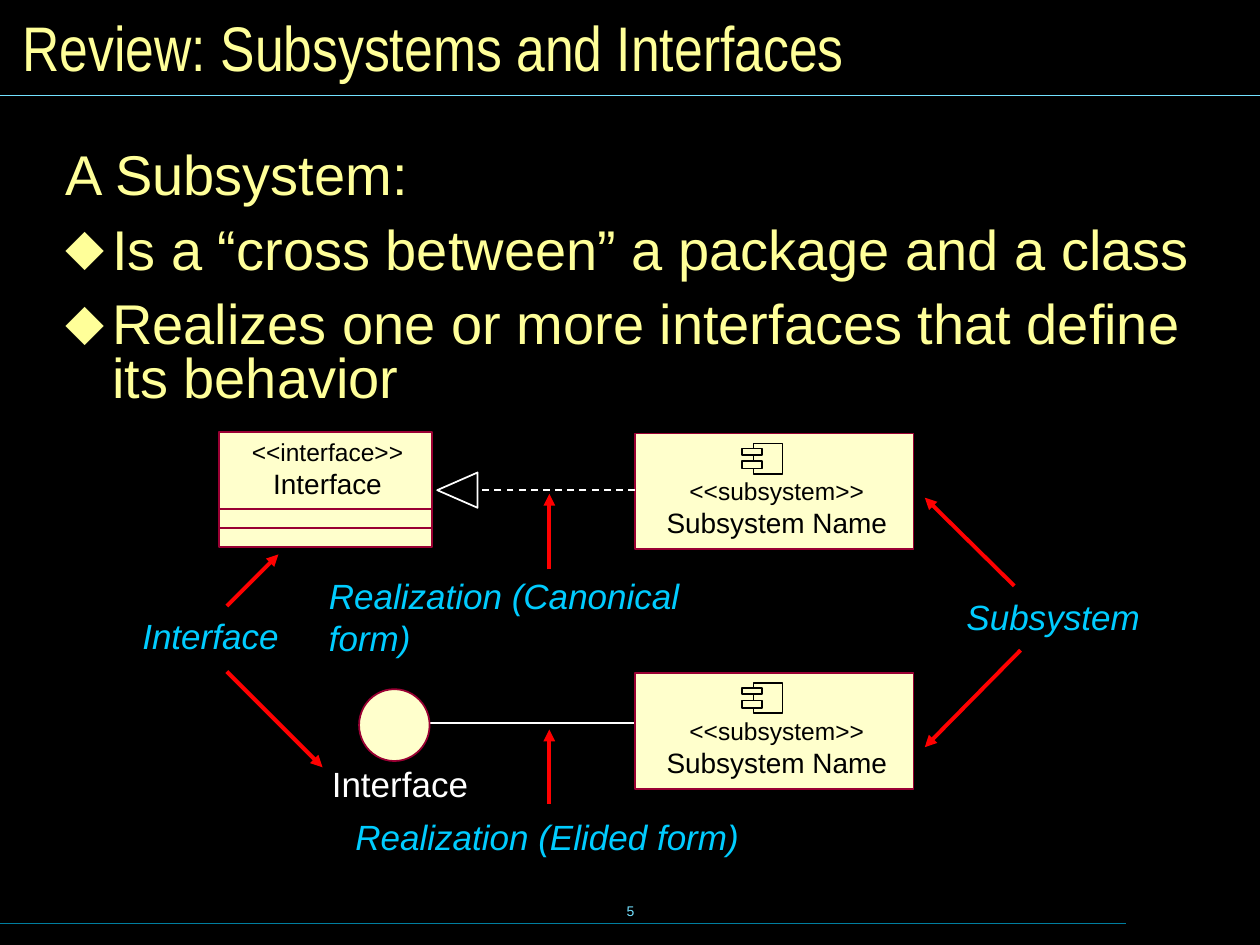
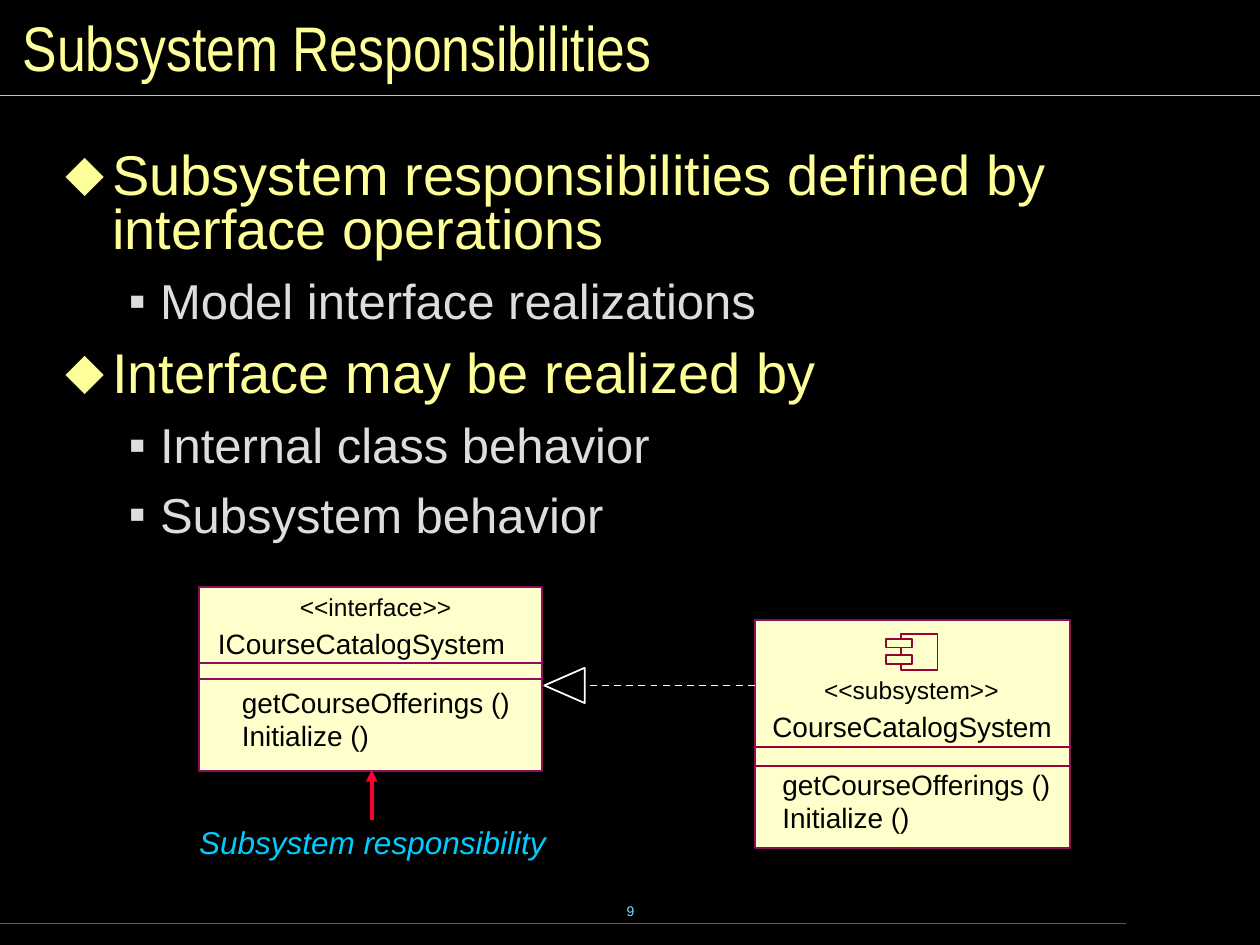
"""Build two slides that explain subsystems and the interfaces they realize."""
from dataclasses import dataclass
from typing import Any, NamedTuple, Optional

from lxml.etree import SubElement
from pptx import Presentation
from pptx.dml.color import RGBColor
from pptx.enum.dml import MSO_LINE
from pptx.enum.shapes import MSO_CONNECTOR, MSO_SHAPE
from pptx.enum.text import MSO_ANCHOR, MSO_AUTO_SIZE, PP_ALIGN
from pptx.oxml.ns import qn
from pptx.util import Inches, Pt

COLORS = {
    "background": "000000", "yellow": "FFFF99", "gray": "DDDDDD", "rule": "73E1FF",
    "footer_rule": "007E9F", "cream": "FFFFCC", "maroon": "990033", "plum": "8A0E5E",
    "white": "FFFFFF", "black": "000000", "cyan": "00CCFF", "red": "FF0000",
    "crimson": "FF0033",
}


class Area(NamedTuple):
    left: float
    top: float
    width: float
    height: float


@dataclass(frozen=True)
class Box:
    area: Area
    line: str = "maroon"
    fill: Optional[str] = "cream"
    kind: MSO_SHAPE = MSO_SHAPE.RECTANGLE
    rotation: int = 0


@dataclass(frozen=True)
class Line:
    start: tuple[float, float]
    end: tuple[float, float]
    color: str = "maroon"
    weight: float = 1
    dashed: bool = False
    arrow: bool = False


@dataclass(frozen=True)
class Label:
    area: Area
    rows: tuple[tuple[str, int], ...]
    color: str = "black"
    align: PP_ALIGN = PP_ALIGN.LEFT
    italic: bool = False
    wrap: bool = False
    inset: float = 0


@dataclass(frozen=True)
class Level:
    bullet: Optional[str]
    margin: float
    hanging: float
    spacing: float
    before: float
    size: int
    color: str


LEVELS = {
    "lead": Level(None, 0.37, 0.37, 0.8, 12, 32, "yellow"),
    "main": Level("⬥", 0.37, 0.37, 0.8, 12, 32, "yellow"),
    "sub": Level("▪", 0.75, 0.25, 0.87, 10.5, 28, "gray"),
}


def rgb(name: str) -> RGBColor:
    return RGBColor.from_string(COLORS[name])


def apply_format(target: Any, values: dict[str, Any]) -> None:
    for name, value in values.items():
        setattr(target, name, value)


def place(shape: Any, area: Area) -> None:
    apply_format(shape, {name: Inches(value) for name, value in area._asdict().items()})


def set_insets(frame: Any, across: float, down: float) -> None:
    apply_format(frame, {
        "margin_left": Inches(across), "margin_right": Inches(across),
        "margin_top": Inches(down), "margin_bottom": Inches(down),
    })


def add_text(paragraph: Any, text: str, size: float, color: str,
             name: str = "Arial", italic: bool = False) -> None:
    run = paragraph.add_run()
    run.text = text
    apply_format(run.font, {"name": name, "size": Pt(size), "italic": italic})
    run.font.color.rgb = rgb(color)


def style_outline(shape: Any, color: str, fill: Optional[str] = None) -> None:
    shape.shadow.inherit = False
    if fill:
        shape.fill.solid()
        shape.fill.fore_color.rgb = rgb(fill)
    else:
        shape.fill.background()
    shape.line.color.rgb = rgb(color)
    shape.line.width = Pt(1)


def draw_box(slide: Any, box: Box) -> None:
    shape = slide.shapes.add_shape(box.kind, *map(Inches, box.area))
    shape.rotation = box.rotation
    style_outline(shape, box.line, box.fill)


def draw_line(slide: Any, line: Line) -> None:
    connector = slide.shapes.add_connector(
        MSO_CONNECTOR.STRAIGHT, *map(Inches, line.start + line.end))
    connector.line.color.rgb = rgb(line.color)
    connector.line.width = Pt(line.weight)
    if line.dashed:
        connector.line.dash_style = MSO_LINE.DASH
    if line.arrow:
        SubElement(connector.line._get_or_add_ln(), qn("a:tailEnd"), type="triangle")
    SubElement(connector._element.spPr, qn("a:effectLst"))


def draw_arrow(slide: Any, start: tuple[float, float], end: tuple[float, float],
               color: str = "red") -> None:
    draw_line(slide, Line(start, end, color, 2.25, arrow=True))


def draw_label(slide: Any, label: Label) -> None:
    frame = slide.shapes.add_textbox(*map(Inches, label.area)).text_frame
    apply_format(frame, {"word_wrap": label.wrap,
                         "auto_size": MSO_AUTO_SIZE.SHAPE_TO_FIT_TEXT})
    set_insets(frame, label.inset, label.inset / 2)
    for index, (text, size) in enumerate(label.rows):
        paragraph = frame.add_paragraph() if index else frame.paragraphs[0]
        paragraph.alignment = label.align
        add_text(paragraph, text, size, label.color, italic=label.italic)


def draw_callout(slide: Any, text: str, area: Area, size: int = 20) -> None:
    draw_label(slide, Label(area, ((text, size),), "cyan", italic=True, wrap=True, inset=0.12))


def draw_realization(slide: Any, tip: float, middle: float, end: float) -> None:
    draw_line(slide, Line((end, middle), (tip + 0.34, middle), "white", dashed=True))
    draw_box(slide, Box(Area(tip + 0.02, middle - 0.16, 0.28, 0.32), "white", None,
                        MSO_SHAPE.ISOSCELES_TRIANGLE, 270))


def draw_component_icon(slide: Any, left: float, top: float) -> None:
    for offset, height in ((0.14, 0.06), (0.04, 0.05)):
        draw_box(slide, Box(Area(left, top + offset, 0.16, height), "black", None))
    spine, edge, bottom = left + 0.09, left + 0.32, top + 0.24
    corners = ((spine, top), (edge, top), (edge, bottom), (spine, bottom), (spine, top + 0.2))
    builder = slide.shapes.build_freeform(Inches(spine), Inches(top + 0.04))
    builder.add_line_segments([(Inches(x), Inches(y)) for x, y in corners], close=False)
    style_outline(builder.convert_to_shape(), "black")
    draw_line(slide, Line((spine, top + 0.1), (spine, top + 0.14), "black"))


def draw_subsystem(slide: Any, top: float) -> None:
    draw_box(slide, Box(Area(5.04, top, 2.21, 0.92)))
    draw_label(slide, Label(Area(5.29, top + 0.34, 1.75, 0.5),
                            (("<<subsystem>>", 14), ("Subsystem Name", 16)),
                            align=PP_ALIGN.CENTER))
    draw_component_icon(slide, 5.89, top + 0.08)


def format_item(paragraph: Any, level: Level, first: bool) -> None:
    properties = paragraph._p.get_or_add_pPr()
    properties.set("marL", str(Inches(level.margin)))
    properties.set("indent", str(-Inches(level.hanging)))
    if level.bullet:
        bullet_color = SubElement(properties, qn("a:buClr"))
        SubElement(bullet_color, qn("a:srgbClr"), val=COLORS[level.color])
        SubElement(properties, qn("a:buFont"), typeface="Arial")
        SubElement(properties, qn("a:buChar"), char=level.bullet)
    else:
        SubElement(properties, qn("a:buNone"))
    apply_format(paragraph, {
        "alignment": PP_ALIGN.LEFT, "line_spacing": level.spacing,
        "space_before": Pt(0 if first else level.before),
    })


def fill_body(body: Any, items: list[tuple[str, str]], height: float) -> None:
    place(body, Area(0.4, 1.15, 9.29, height))
    frame = body.text_frame
    apply_format(frame, {"word_wrap": True, "auto_size": MSO_AUTO_SIZE.NONE,
                         "vertical_anchor": MSO_ANCHOR.TOP})
    set_insets(frame, 0.12, 0.06)
    for index, (kind, text) in enumerate(items):
        paragraph = frame.add_paragraph() if index else frame.paragraphs[0]
        level = LEVELS[kind]
        paragraph.level = 1 if kind == "sub" else 0
        format_item(paragraph, level, index == 0)
        add_text(paragraph, text, level.size, level.color)


def add_content_slide(presentation: Any, title: str, number: int,
                      items: list[tuple[str, str]], body_height: float) -> Any:
    slide = presentation.slides.add_slide(presentation.slide_layouts[1])
    draw_line(slide, Line((0, 7.33), (8.94, 7.33), "footer_rule", 0.75))
    draw_line(slide, Line((0, 0.76), (10, 0.76), "rule", 0.75))
    number_box = slide.shapes.add_textbox(*map(Inches, Area(3.42, 6.98, 3.17, 0.5)))
    number_box.text_frame.vertical_anchor = MSO_ANCHOR.MIDDLE
    number_box.text_frame.word_wrap = True
    number_text = number_box.text_frame.paragraphs[0]
    number_text.alignment = PP_ALIGN.CENTER
    add_text(number_text, str(number), 8, "rule")
    heading = slide.shapes.title
    place(heading, Area(0.08, 0.08, 9.84, 0.58))
    apply_format(heading.text_frame, {"vertical_anchor": MSO_ANCHOR.MIDDLE,
                                      "auto_size": MSO_AUTO_SIZE.NONE})
    heading_text = heading.text_frame.paragraphs[0]
    heading_text.alignment = PP_ALIGN.LEFT
    add_text(heading_text, title, 36, "yellow", "Arial Narrow")
    fill_body(slide.placeholders[1], items, body_height)
    return slide


def build_review(presentation: Any) -> None:
    slide = add_content_slide(presentation, "Review: Subsystems and Interfaces", 5, [
        ("lead", "A Subsystem:"),
        ("main", "Is a “cross between” a package and a class"),
        ("main", "Realizes one or more interfaces that define its behavior"),
    ], 2.18)
    draw_line(slide, Line((3.27, 5.74), (5.26, 5.74), "white"))
    for top in (3.44, 5.34):
        draw_subsystem(slide, top)
    draw_box(slide, Box(Area(2.85, 5.47, 0.56, 0.57), kind=MSO_SHAPE.OVAL))
    draw_label(slide, Label(Area(2.09, 6, 2.17, 0.44), (("Interface", 20),), "white",
                            PP_ALIGN.CENTER, wrap=True, inset=0.1))
    draw_box(slide, Box(Area(1.74, 3.43, 1.69, 0.91)))
    for y in (4.04, 4.19):
        draw_line(slide, Line((1.74, y), (3.42, y)))
    draw_label(slide, Label(Area(1.81, 3.47, 1.58, 0.5),
                            (("<<interface>>", 14), ("Interface", 16)),
                            align=PP_ALIGN.CENTER, wrap=True))
    draw_realization(slide, 3.47, 3.89, 5.04)
    for text, area in (
        ("Interface", Area(1.01, 4.82, 1.36, 0.45)),
        ("Subsystem", Area(7.55, 4.67, 1.69, 0.45)),
        ("Realization (Canonical form)", Area(2.49, 4.5, 3.74, 0.79)),
        ("Realization (Elided form)", Area(2.7, 6.41, 3.29, 0.45)),
    ):
        draw_callout(slide, text, area)
    for start, end in (
        ((8.05, 4.65), (7.34, 3.95)), ((8.1, 5.16), (7.34, 5.93)),
        ((4.36, 4.52), (4.36, 3.92)), ((4.36, 6.38), (4.36, 5.79)),
        ((1.8, 4.81), (2.21, 4.4)), ((1.8, 5.33), (2.56, 6.09)),
    ):
        draw_arrow(slide, start, end)


def build_responsibilities(presentation: Any) -> None:
    slide = add_content_slide(presentation, "Subsystem Responsibilities", 9, [
        ("main", "Subsystem responsibilities defined by interface operations"),
        ("sub", "Model interface realizations"),
        ("main", "Interface may be realized by"),
        ("sub", "Internal class behavior"),
        ("sub", "Subsystem behavior"),
    ], 5.52)
    for top, height in ((4.66, 1.24), (5.26, 0.65), (5.39, 0.73)):
        draw_box(slide, Box(Area(1.58, top, 2.72, height), "plum"))
    draw_box(slide, Box(Area(5.99, 4.92, 2.5, 1.81), "plum"))
    for area in (Area(7.15, 5.03, 0.29, 0.29), Area(7.03, 5.2, 0.21, 0.07),
                 Area(7.03, 5.07, 0.21, 0.07)):
        draw_box(slide, Box(area))
    for y in (5.93, 6.08):
        draw_line(slide, Line((5.99, y), (8.49, y)))
    operations = (("getCourseOfferings ()", 16), ("Initialize ()", 16))
    for area, rows in (
        (Area(2.38, 4.7, 1.22, 0.23), (("<<interface>>", 14),)),
        (Area(1.73, 4.97, 2.28, 0.27), (("ICourseCatalogSystem", 16),)),
        (Area(1.92, 5.44, 2.13, 0.53), operations),
        (Area(6.54, 5.36, 1.39, 0.23), (("<<subsystem>>", 14),)),
        (Area(6.13, 5.63, 2.22, 0.27), (("CourseCatalogSystem", 16),)),
        (Area(6.21, 6.09, 2.13, 0.53), operations),
    ):
        draw_label(slide, Label(area, rows))
    draw_realization(slide, 4.32, 5.44, 5.99)
    draw_callout(slide, "Subsystem responsibility", Area(1.46, 6.47, 3.22, 0.42), 18)
    draw_arrow(slide, (2.95, 6.51), (2.95, 6.11), "crimson")


def main() -> None:
    presentation = Presentation()
    apply_format(presentation, {"slide_width": Inches(10), "slide_height": Inches(7.5)})
    background = presentation.slide_master.background.fill
    background.solid()
    background.fore_color.rgb = rgb("background")
    build_review(presentation)
    build_responsibilities(presentation)
    presentation.save("out.pptx")


if __name__ == "__main__":
    main()
